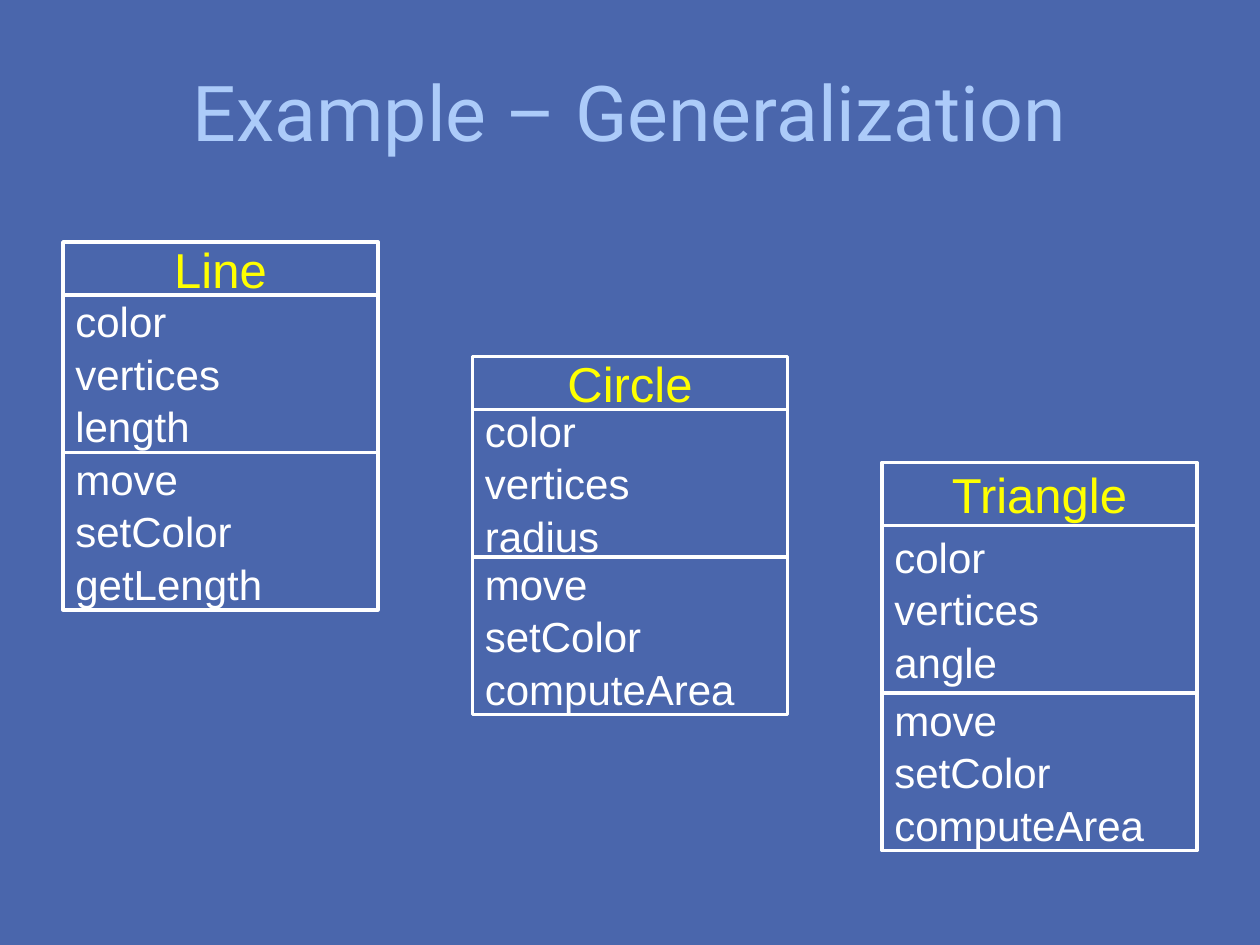
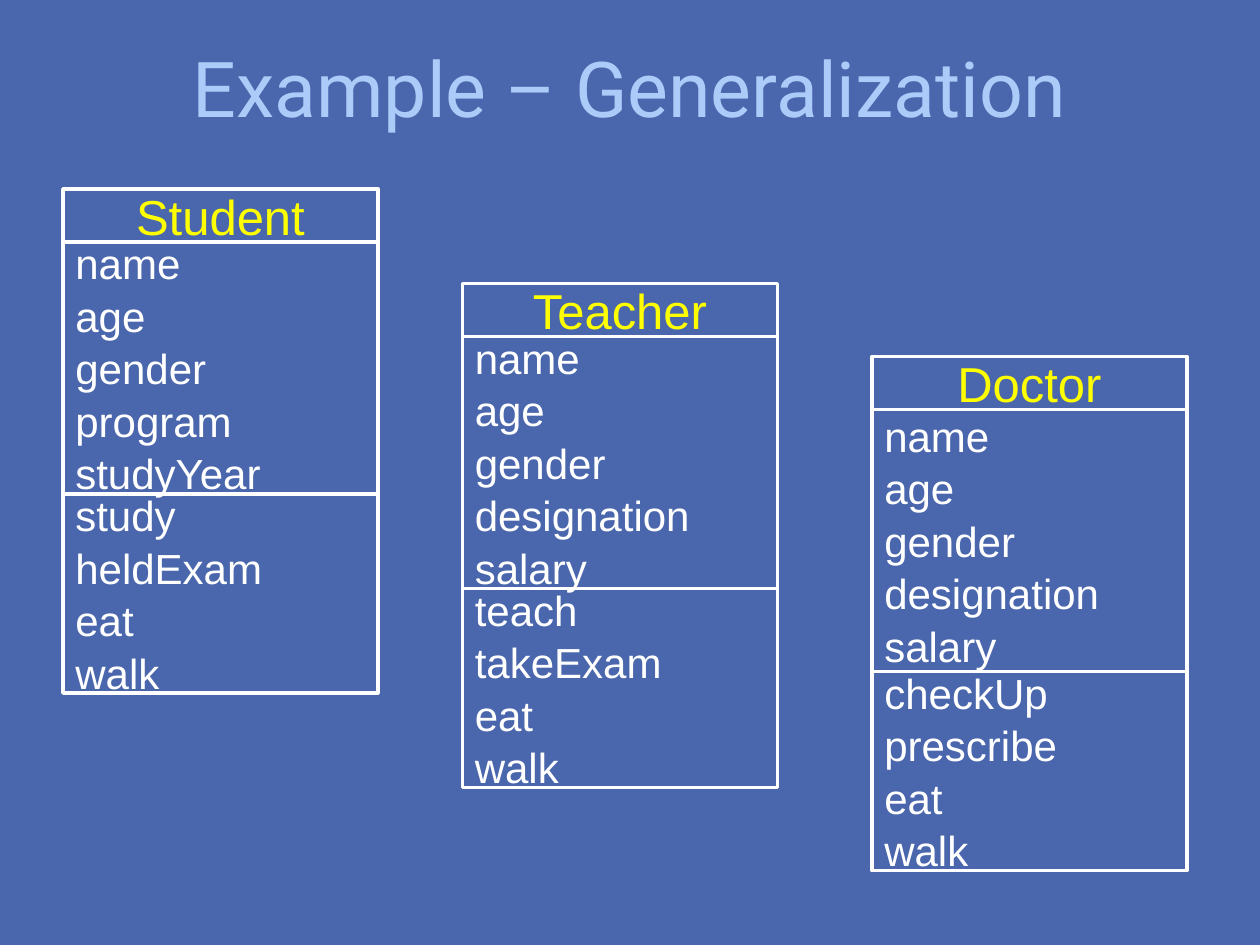
import dataclasses

import pptx
import pptx.dml.color
import pptx.enum.shapes
import pptx.enum.text
import pptx.util

Inches = pptx.util.Inches
Pt = pptx.util.Pt
Align = pptx.enum.text.PP_ALIGN


@dataclasses.dataclass(frozen=True)
class TextStyle:
    font: str
    size: float
    color: str
    align: Align
    space_before: float = 0


@dataclasses.dataclass(frozen=True)
class Theme:
    background: str = "4A66AC"
    outline: str = "FFFFFF"
    outline_width: float = 2
    title: TextStyle = TextStyle("Roboto", 44, "ACCBF9", Align.CENTER)
    class_name: TextStyle = TextStyle("Arial", 28, "FFFF00", Align.CENTER)
    member: TextStyle = TextStyle("Arial", 24, "FFFFFF", Align.LEFT, 1.2)


@dataclasses.dataclass(frozen=True)
class ClassDiagram:
    left: float
    top: float
    heights: tuple  # name, attributes, operations
    name: str
    attributes: str
    operations: str


THEME = Theme()
TITLE = "Example – Generalization"
CLASS_WIDTH = 2.5

SHAPE_CLASSES = [
    ClassDiagram(3.75, 2.83, (0.42, 1.17, 1.25), "Circle",
                 "color vertices radius", "move setColor computeArea"),
    ClassDiagram(0.5, 1.92, (0.42, 1.25, 1.25), "Line",
                 "color vertices length", "move setColor getLength"),
    ClassDiagram(7, 3.67, (0.5, 1.33, 1.25), "Triangle",
                 "color vertices angle", "move setColor computeArea"),
]
PERSON_CLASSES = [
    ClassDiagram(3.67, 2.25, (0.42, 2, 1.58), "Teacher",
                 "name age gender designation salary", "teach takeExam eat walk"),
    ClassDiagram(0.5, 1.5, (0.42, 2, 1.58), "Student",
                 "name age gender program studyYear", "study heldExam eat walk"),
    ClassDiagram(6.92, 2.83, (0.42, 2.08, 1.58), "Doctor",
                 "name age gender designation salary", "checkUp prescribe eat walk"),
]


def rgb(color):
    return pptx.dml.color.RGBColor.from_string(color)


def write_lines(shape, lines, style):
    """Write one paragraph per line, centred vertically in the shape."""
    frame = shape.text_frame
    frame.word_wrap = True
    frame.vertical_anchor = pptx.enum.text.MSO_ANCHOR.MIDDLE
    for index, line in enumerate(lines):
        paragraph = frame.add_paragraph() if index else frame.paragraphs[0]
        paragraph.alignment = style.align
        paragraph.space_before = Pt(style.space_before)
        run = paragraph.add_run()
        run.text = line
        run.font.name = style.font
        run.font.size = Pt(style.size)
        run.font.color.rgb = rgb(style.color)


def add_title(slide, left, top, width, height):
    title = slide.shapes.add_textbox(
        Inches(left), Inches(top), Inches(width), Inches(height))
    write_lines(title, [TITLE], THEME.title)


def add_compartment(slide, left, top, width, height, lines, style):
    compartment = slide.shapes.add_shape(
        pptx.enum.shapes.MSO_SHAPE.RECTANGLE,
        Inches(left), Inches(top), Inches(width), Inches(height))
    compartment.shadow.inherit = False
    compartment.fill.background()
    compartment.line.color.rgb = rgb(THEME.outline)
    compartment.line.width = Pt(THEME.outline_width)
    write_lines(compartment, lines, style)


def add_class(slide, diagram):
    """Stack the name, attribute and operation compartments."""
    contents = [
        ([diagram.name], THEME.class_name),
        (diagram.attributes.split(), THEME.member),
        (diagram.operations.split(), THEME.member),
    ]
    top = diagram.top
    for height, (lines, style) in zip(diagram.heights, contents):
        add_compartment(slide, diagram.left, top, CLASS_WIDTH, height, lines, style)
        top += height


def add_class_slide(presentation, title_height, diagrams):
    slide = presentation.slides.add_slide(presentation.slide_layouts[6])
    add_title(slide, 0.33, 0.25, 9.34, title_height)
    for diagram in diagrams:
        add_class(slide, diagram)


def main():
    presentation = pptx.Presentation()
    presentation.slide_width = Inches(10)
    presentation.slide_height = Inches(7.5)

    # Shared background
    background = presentation.slide_master.background.fill
    background.solid()
    background.fore_color.rgb = rgb(THEME.background)

    # Slides
    add_class_slide(presentation, 1.25, SHAPE_CLASSES)
    add_class_slide(presentation, 0.87, PERSON_CLASSES)
    presentation.save("out.pptx")


if __name__ == "__main__":
    main()
